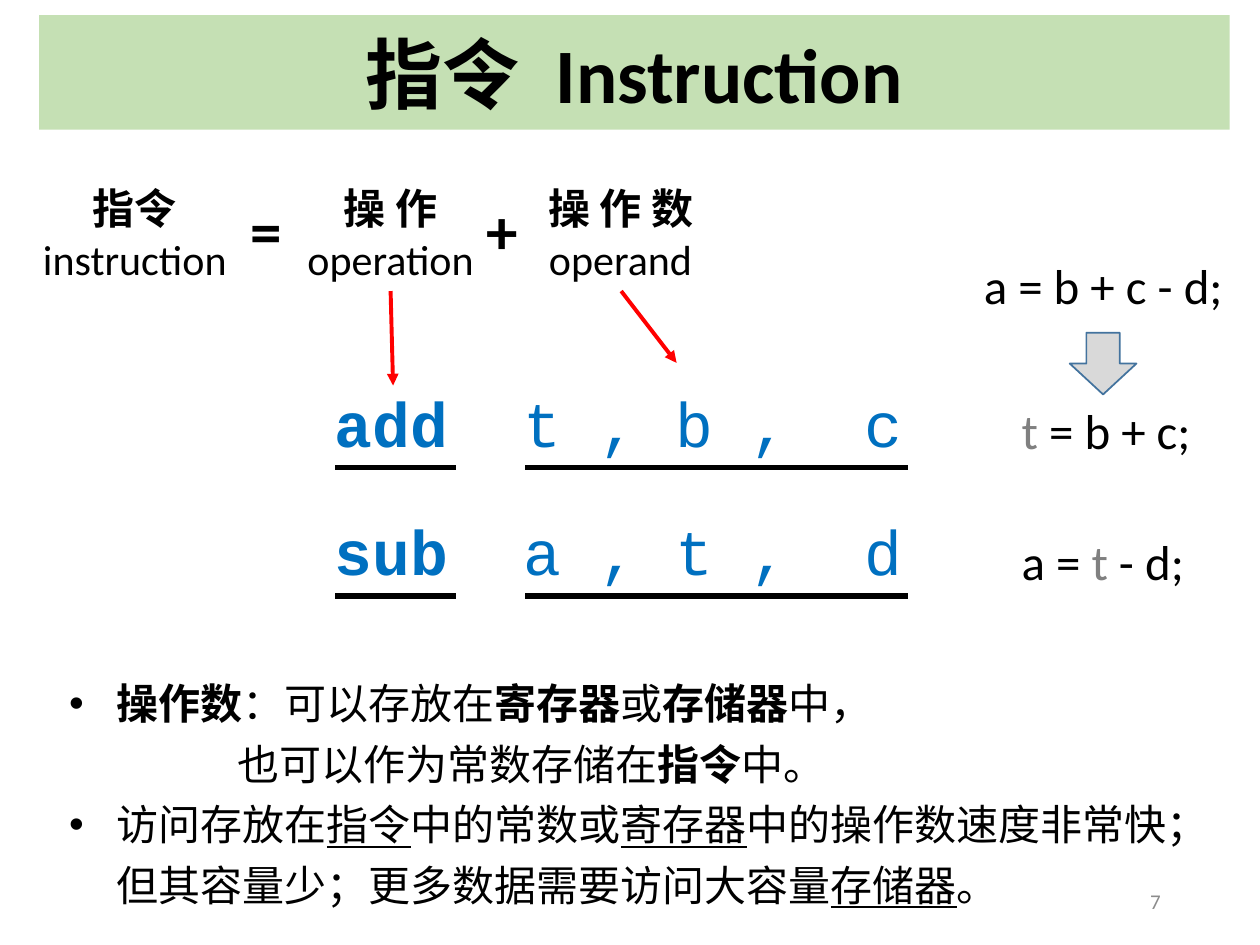
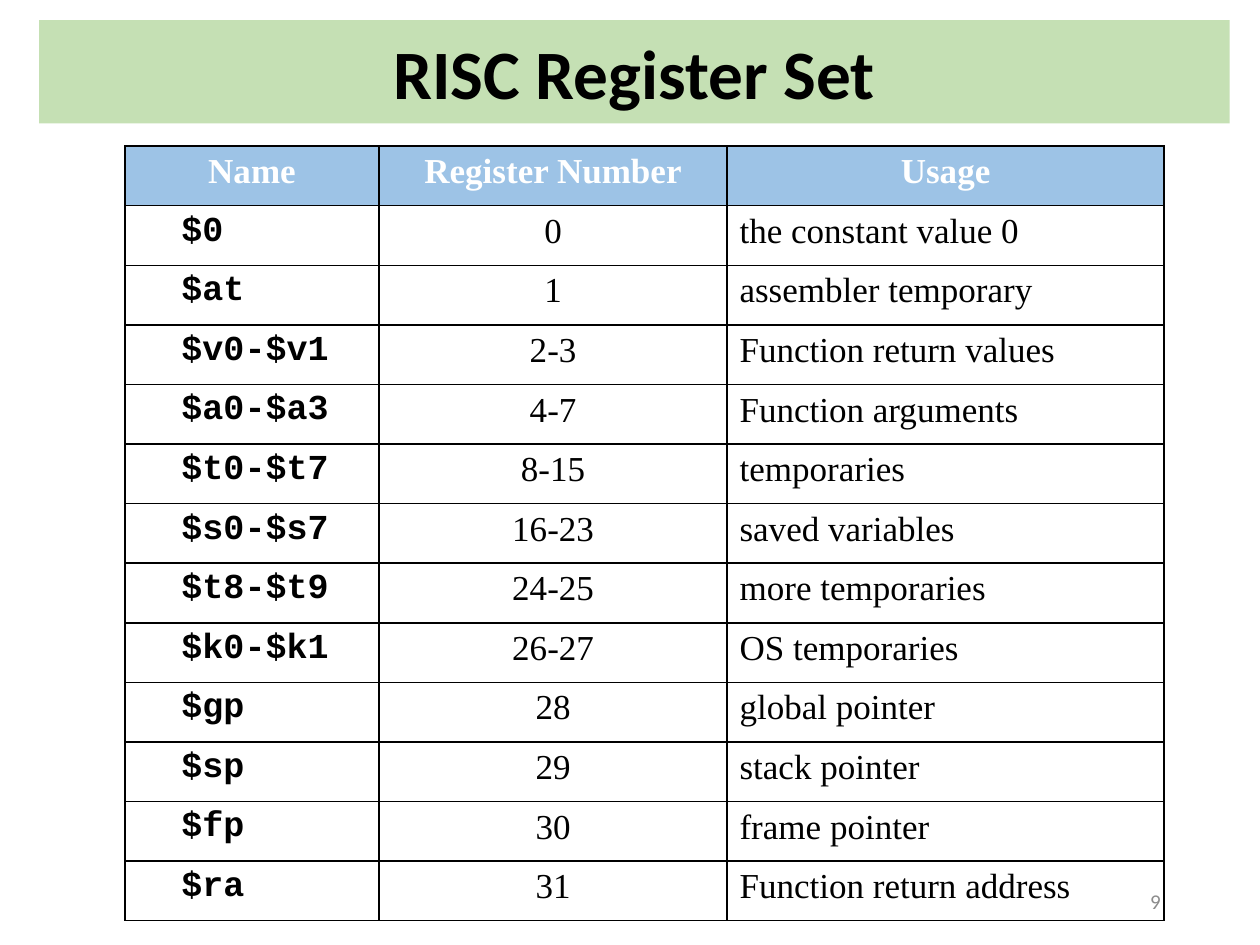
from dataclasses import dataclass
from typing import NamedTuple

from lxml import etree
from pptx import Presentation
from pptx.dml.color import RGBColor
from pptx.enum.shapes import MSO_CONNECTOR, MSO_SHAPE
from pptx.enum.text import MSO_ANCHOR, MSO_AUTO_SIZE, PP_ALIGN
from pptx.oxml.ns import qn
from pptx.util import Emu, Inches, Pt

LEFT, CENTER, RIGHT = PP_ALIGN.LEFT, PP_ALIGN.CENTER, PP_ALIGN.RIGHT
TOP, MIDDLE = MSO_ANCHOR.TOP, MSO_ANCHOR.MIDDLE
RECTANGLE, DOWN_ARROW = MSO_SHAPE.RECTANGLE, MSO_SHAPE.DOWN_ARROW
STRAIGHT = MSO_CONNECTOR.STRAIGHT
FIT_TEXT = MSO_AUTO_SIZE.SHAPE_TO_FIT_TEXT

BLACK = RGBColor(0x00, 0x00, 0x00)
WHITE = RGBColor(0xFF, 0xFF, 0xFF)
BAND_GREEN = RGBColor(0xC5, 0xE0, 0xB4)
CODE_BLUE = RGBColor(0x00, 0x70, 0xC0)
TEMP_GRAY = RGBColor(0x80, 0x80, 0x80)
PAGE_GRAY = RGBColor(0x8C, 0x8C, 0x8C)
POINTER_RED = RGBColor(0xFF, 0x00, 0x00)
ARROW_FILL = RGBColor(0xD9, 0xD9, 0xD9)
ARROW_LINE = RGBColor(0x43, 0x73, 0x9E)
HEADER_BLUE = RGBColor(0x9D, 0xC3, 0xE6)

SANS, MONO, SERIF, CJK = "Calibri", "Courier New", "Times New Roman", "Noto Sans CJK SC"

# Grid of 100 columns by 75 rows over the slide
SLIDE_W, SLIDE_H = Inches(10), Inches(7.5)
COL, ROW = SLIDE_W / 100, SLIDE_H / 75


class Box(NamedTuple):
    col: float
    row: float
    cols: float
    rows: float

    def emu(self) -> list[Emu]:
        return [Emu(round(n * unit)) for n, unit in zip(self, (COL, ROW, COL, ROW))]


class Run(NamedTuple):
    text: str
    bold: bool | None = None
    color: RGBColor | None = None
    font: str | None = None
    underline: bool = False
    spread: float = 0  # extra character spacing, points


@dataclass(frozen=True)
class Para:
    runs: tuple[Run, ...]
    margin: float = 0  # in columns, like indent
    indent: float = 0
    bullet: str = ""


class Segment(NamedTuple):
    start: tuple[float, float]
    end: tuple[float, float]


class Term(NamedTuple):
    box: Box
    chinese: str
    english: str


class CodeLine(NamedTuple):
    opcode: str
    first_operands: str
    last_operand: str


def plain(text: str) -> Para:
    return Para((Run(text),))


def write_text(frame, paras: list[Para], *, size: float, font: str = SANS,
               color: RGBColor = BLACK, bold: bool = False, align=LEFT,
               line_spacing: float | None = None) -> None:
    """Fill a text frame; each run may override the common format."""
    for number, para in enumerate(paras):
        p = frame.add_paragraph() if number else frame.paragraphs[0]
        p.alignment = align
        if line_spacing:
            p.line_spacing = line_spacing
        pPr = p._p.get_or_add_pPr()
        pPr.set("marL", str(round(para.margin * COL)))
        pPr.set("indent", str(round(para.indent * COL)))
        if para.bullet:
            etree.SubElement(pPr, qn("a:buFont"), typeface="Arial")
            etree.SubElement(pPr, qn("a:buChar"), char=para.bullet)
        for item in para.runs:
            run = p.add_run()
            run.text = item.text
            run.font.size = Pt(size)
            run.font.name = item.font or font
            run.font.bold = bold if item.bold is None else item.bold
            run.font.color.rgb = item.color or color
            if item.underline:
                run.font.underline = True
            rPr = run._r.get_or_add_rPr()
            if item.spread:
                rPr.set("spc", str(round(item.spread * 100)))
            etree.SubElement(rPr, qn("a:ea"), typeface=CJK)


def add_text(slide, box: Box, paras: list[Para], *, wrap: bool = False,
             anchor=TOP, fit: bool = True, **text_format) -> None:
    frame = slide.shapes.add_textbox(*box.emu()).text_frame
    frame.word_wrap = wrap
    frame.vertical_anchor = anchor
    if fit:
        frame.auto_size = FIT_TEXT
    write_text(frame, paras, **text_format)


def add_preset(slide, kind, box: Box, fill: RGBColor, line: RGBColor | None = None):
    shape = slide.shapes.add_shape(kind, *box.emu())
    shape.shadow.inherit = False
    shape.fill.solid()
    shape.fill.fore_color.rgb = fill
    if line is None:
        shape.line.fill.background()
    else:
        shape.line.color.rgb = line
        shape.line.width = Pt(1)
    return shape


def add_line(slide, segment: Segment, color: RGBColor, width: float,
             arrow: bool = False) -> None:
    ends = [Emu(round(n * unit)) for point in segment for n, unit in zip(point, (COL, ROW))]
    line = slide.shapes.add_connector(STRAIGHT, *ends)
    line.line.color.rgb = color
    line.line.width = Pt(width)
    if arrow:
        etree.SubElement(line.line._get_or_add_ln(), qn("a:tailEnd"), type="triangle")
    etree.SubElement(line._element.spPr, qn("a:effectLst"))


def add_base_slide(prs, title: Para, title_size: float, band_row: float,
                   band_rows: float):
    """Blank slide with the green title band."""
    slide = prs.slides.add_slide(prs.slide_layouts[6])
    band = add_preset(slide, RECTANGLE, Box(3.1, band_row, 94.5, band_rows), BAND_GREEN)
    band.text_frame.word_wrap = True
    band.text_frame.vertical_anchor = MIDDLE
    write_text(band.text_frame, [title], size=title_size, bold=True, align=CENTER)
    return slide


def add_page_number(slide, number: int) -> None:
    add_text(slide, Box(70.6, 69.5, 22.5, 4), [plain(str(number))], wrap=True,
             anchor=MIDDLE, fit=False, size=12, color=PAGE_GRAY, align=RIGHT)


# Content of the instruction slide
TERMS = [
    Term(Box(2.3, 14, 16.8, 9.1), "指令", "instruction"),
    Term(Box(23.3, 14, 15.4, 9.1), "操 作", "operation"),
    Term(Box(42.4, 14, 13.7, 9.1), "操 作 数", "operand"),
]
SIGNS = {"=": 18.9, "+": 37.6}
POINTERS = [Segment((31, 23.1), (31.2, 30.6)), Segment((49.3, 23.1), (53.7, 28.8))]
CODE = [CodeLine("add", "t , b ,", "c"), CodeLine("sub", "a , t ,", "d")]
CODE_TOP, CODE_PITCH, CODE_ROWS, CODE_SIZE = 30, 10.2, 7.1, 36
CODE_GAP = Run(" ", spread=0.6 * CODE_SIZE)  # two monospaced characters wide
UNDERLINE_SPANS = [(26.6, 36.2), (41.7, 72.1)]
TEMP = Run("t", color=TEMP_GRAY)
EQUATIONS = [
    (Box(77.1, 19.8, 21.3, 5.7), (Run("a = b + c - d;"),)),
    (Box(80.1, 31.3, 16.2, 5.7), (TEMP, Run(" = b + c;"))),
    (Box(80.1, 41.7, 15.1, 5.7), (Run("a = "), TEMP, Run(" - d;"))),
]
CONSTANT = Run("常数", font=CJK)
NOTES = [
    Para((Run("操作数", True), Run("：可以存放在"), Run("寄存器", True), Run("或"),
          Run("存储器", True), Run("中，")), 3.8, -3.8, "•"),
    Para((Run("也可以作为"), CONSTANT, Run("存储在"), Run("指令", True), Run("中。")), 13.4),
    Para((Run("访问存放在"), Run("指令", underline=True), Run("中的"), CONSTANT, Run("或"),
          Run("寄存器", underline=True),
          Run("中的操作数速度非常快；但其容量少；更多数据需要访问大容量"),
          Run("存储器", underline=True), Run("。")), 3.8, -3.8, "•"),
]


def build_instruction_slide(prs) -> None:
    title = Para((Run("指令"), Run(" ", spread=10.5), Run("Instruction")))
    slide = add_base_slide(prs, title, 44, 1.2, 9.1)

    # Word equation and its pointers
    for term in TERMS:
        add_text(slide, term.box, [Para((Run(term.chinese, True),)), plain(term.english)],
                 size=24, align=CENTER)
    for sign, col in SIGNS.items():
        add_text(slide, Box(col, 14.7, 4.5, 7.1), [plain(sign)], size=36, bold=True,
                 align=CENTER)
    for pointer in POINTERS:
        add_line(slide, pointer, POINTER_RED, 2.25, arrow=True)

    # Assembly lines, underlined by part
    for number, code in enumerate(CODE):
        top = CODE_TOP + number * CODE_PITCH
        runs = (Run(code.opcode, True), CODE_GAP, Run(code.first_operands), CODE_GAP,
                Run(code.last_operand))
        add_text(slide, Box(25.6, top, 47.5, CODE_ROWS), [Para(runs)], size=CODE_SIZE,
                 font=MONO, color=CODE_BLUE)
        base = top + CODE_ROWS
        for start, end in UNDERLINE_SPANS:
            add_line(slide, Segment((start, base), (end, base)), BLACK, 3)

    # Source expression and its two steps
    for box, runs in EQUATIONS:
        add_text(slide, box, [Para(runs)], size=28)
    add_preset(slide, DOWN_ARROW, Box(84.9, 26.4, 5.3, 4.9), ARROW_FILL, ARROW_LINE)

    add_text(slide, Box(4.5, 52.5, 94.1, 20.4), NOTES, wrap=True, size=24, line_spacing=1.2)
    add_page_number(slide, 7)


# Content of the register slide
HEADINGS = ("Name", "Register Number", "Usage")
REGISTERS = [
    ("$0", "0", "the constant value 0"),
    ("$at", "1", "assembler temporary"),
    ("$v0-$v1", "2-3", "Function return values"),
    ("$a0-$a3", "4-7", "Function arguments"),
    ("$t0-$t7", "8-15", "temporaries"),
    ("$s0-$s7", "16-23", "saved variables"),
    ("$t8-$t9", "24-25", "more temporaries"),
    ("$k0-$k1", "26-27", "OS temporaries"),
    ("$gp", "28", "global pointer"),
    ("$sp", "29", "stack pointer"),
    ("$fp", "30", "frame pointer"),
    ("$ra", "31", "Function return address"),
]
TABLE_BOX = Box(9.9, 11.6, 82.5, 61.5)
COLUMN_WIDTHS = (20.2, 27.6, 34.7)
HANGING = (3.8, -3.8)
HEADING_FORMAT = dict(font=SERIF, bold=True, color=WHITE, align=CENTER)
COLUMN_FORMATS = (
    dict(font=MONO, bold=True),
    dict(font=SERIF, align=CENTER),
    dict(font=SERIF),
)
COLUMN_INDENTS = ((5.9, -2.4), HANGING, HANGING)


def add_borders(cell) -> None:
    tcPr = cell._tc.get_or_add_tcPr()
    for place, side in enumerate(("lnL", "lnR", "lnT", "lnB")):
        line = etree.Element(qn(f"a:{side}"), w=str(Pt(1)))
        fill = etree.SubElement(line, qn("a:solidFill"))
        etree.SubElement(fill, qn("a:srgbClr"), val=str(BLACK))
        tcPr.insert(place, line)


def build_register_slide(prs) -> None:
    slide = add_base_slide(prs, plain("RISC Register Set"), 39.6, 1.6, 8.2)
    rows = [HEADINGS, *REGISTERS]
    table = slide.shapes.add_table(len(rows), len(HEADINGS), *TABLE_BOX.emu()).table
    for column, width in zip(table.columns, COLUMN_WIDTHS):
        column.width = Emu(round(width * COL))
    for r, values in enumerate(rows):
        for c, value in enumerate(values):
            cell = table.cell(r, c)
            if r == 0:
                cell.fill.solid()
                cell.fill.fore_color.rgb = HEADER_BLUE
            else:
                cell.fill.background()
            add_borders(cell)
            margin, indent = COLUMN_INDENTS[c] if r else HANGING
            write_text(cell.text_frame, [Para((Run(value),), margin, indent)], size=20,
                       **(COLUMN_FORMATS[c] if r else HEADING_FORMAT))
    add_page_number(slide, 9)


def main() -> None:
    prs = Presentation()
    prs.slide_width, prs.slide_height = SLIDE_W, SLIDE_H
    build_instruction_slide(prs)
    build_register_slide(prs)
    prs.save("out.pptx")


if __name__ == "__main__":
    main()
